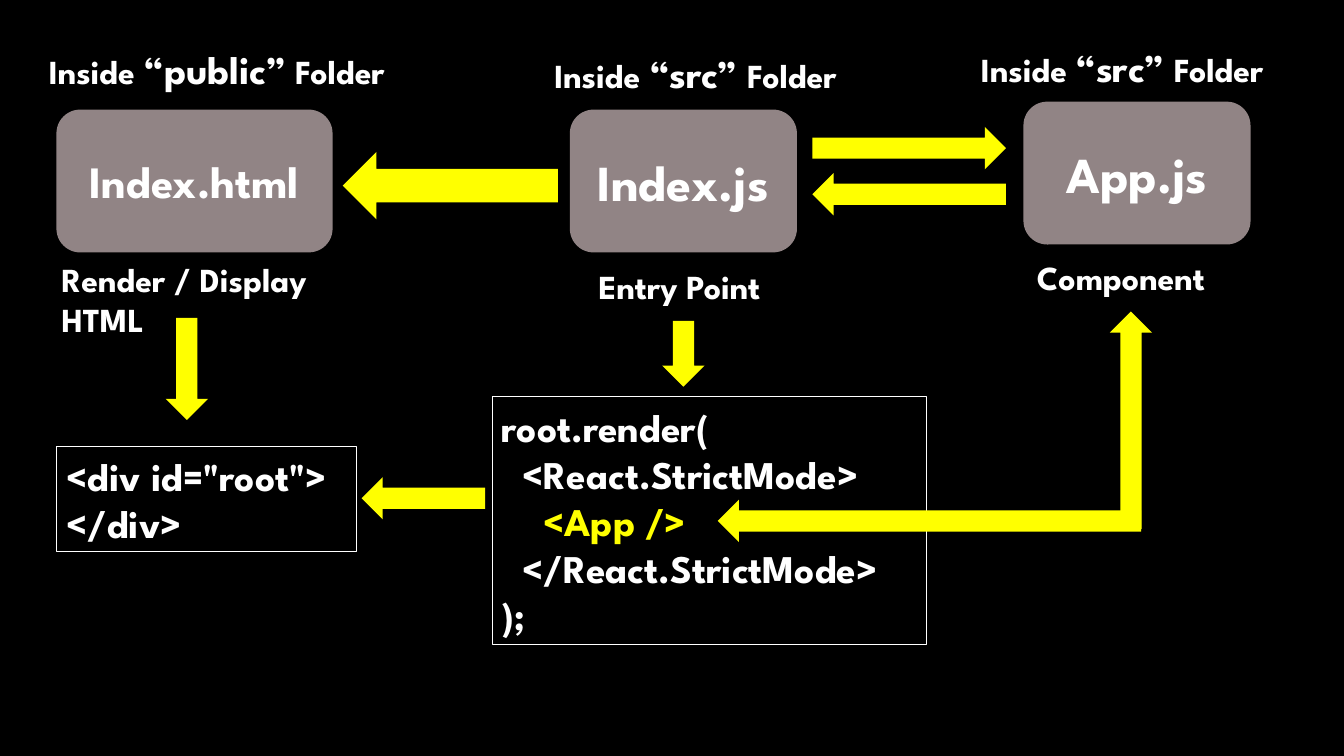
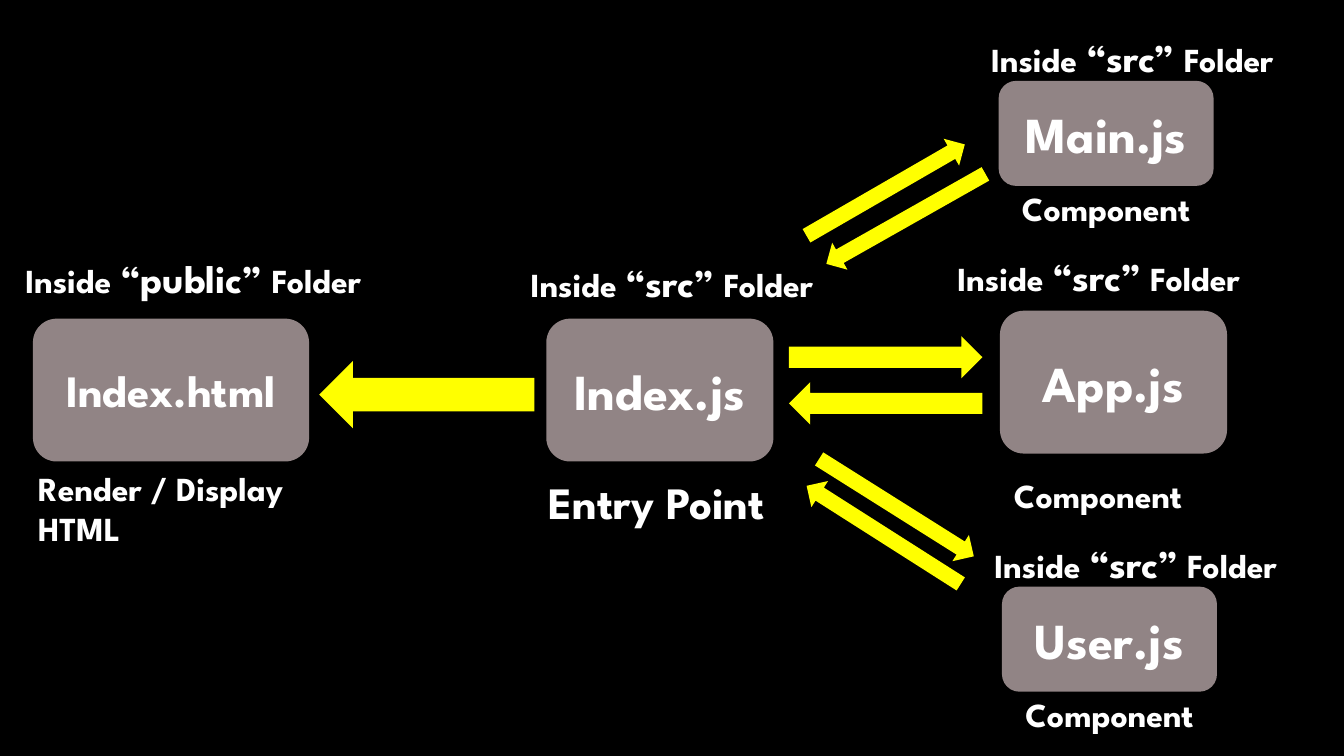
from pptx import Presentation, util as u
from pptx.dml.color import RGBColor
from pptx.enum import shapes, text

COLORS = {"back": "000000", "text": "FFFFFF", "node": "918485", "accent": "FFFF00"}
FONT = "League Spartan"
WIDTH, HEIGHT = u.Inches(13.33), u.Inches(7.5)
SMALL, MEDIUM, LARGE, HUGE = 24, 28, 32, 36
LABEL_ROWS, CAPTION_ROWS, NODE_ROWS = 7.6, 6.7, 18.9
FILE_COLS, PAGE_COLS = 16.9, 20.55
SIDE_COLS, SIDE_ROWS = 16, 13.9
ARROW_ROWS, SLIM_ROWS = 5.6, 4.1


def color(name):
    return RGBColor.from_string(COLORS[name])


def cells(left, top, cols, rows):
    """Turn cells of a grid of 100 columns by 100 rows into lengths."""
    return [round(count * length / 100) for count, length in
            zip((left, top, cols, rows), (WIDTH, HEIGHT, WIDTH, HEIGHT))]


def add_page(deck):
    page = deck.slides.add_slide(deck.slide_layouts[6])
    page.background.fill.solid()
    page.background.fill.fore_color.rgb = color("back")
    return page


def style(span, size, name="text"):
    span.font.name = FONT
    span.font.size = u.Pt(size)
    span.font.bold = True
    span.font.color.rgb = color(name)


def add_text(page, area, words, size=SMALL, align=text.PP_ALIGN.LEFT):
    box = page.shapes.add_textbox(*cells(*area))
    frame = box.text_frame
    frame.word_wrap = True
    frame.vertical_anchor = text.MSO_ANCHOR.MIDDLE
    frame.text = words
    for para in frame.paragraphs:
        para.alignment = align
        for span in para.runs:
            style(span, size)
    return box


def add_label(page, left, top, cols, folder, align=text.PP_ALIGN.LEFT):
    """Name a folder, larger than the words around it."""
    box = add_text(page, (left, top, cols, LABEL_ROWS), "Inside ", align=align)
    para = box.text_frame.paragraphs[0]
    for words, size in ((f"“{folder}”", MEDIUM), (" Folder", SMALL)):
        span = para.add_run()
        span.text = words
        style(span, size)


def add_solid(page, kind, area, fill):
    shape = page.shapes.add_shape(kind, *cells(*area))
    shape.shadow.inherit = False
    shape.fill.solid()
    shape.fill.fore_color.rgb = color(fill)
    shape.line.fill.background()
    return shape


def add_node(page, area, words, size=HUGE):
    node = add_solid(page, shapes.MSO_SHAPE.ROUNDED_RECTANGLE, area, "node")
    frame = node.text_frame
    frame.word_wrap = True
    frame.vertical_anchor = text.MSO_ANCHOR.MIDDLE
    frame.text = words
    para = frame.paragraphs[0]
    para.alignment = text.PP_ALIGN.CENTER
    style(para.runs[0], size)


def add_arrow(page, area, turn=0):
    arrow = add_solid(page, shapes.MSO_SHAPE.RIGHT_ARROW, area, "accent")
    arrow.rotation = turn


def add_code(page, area, lines, accent_line=None):
    box = add_text(page, area, "\n".join(lines), MEDIUM)
    box.line.color.rgb = color("text")
    box.line.width = u.Pt(0.5)
    if accent_line is not None:
        style(box.text_frame.paragraphs[accent_line].runs[0], MEDIUM, "accent")


def add_file_row(page, left, top):
    """Draw the chain of three files, with its corner at left, top."""
    for x, y, cols, folder in ((0, 0.25, 29.5, "public"), (37.6, 0.85, 24.7, "src"),
                               (69.35, 0, 24.7, "src")):
        add_label(page, left + x, top + y, cols, folder)
    for x, y, cols, words, size in ((1.3, 9.45, PAGE_COLS, "Index.html", LARGE),
                                    (39.5, 9.45, FILE_COLS, "Index.js", HUGE),
                                    (73.25, 8.4, FILE_COLS, "App.js", HUGE)):
        add_node(page, (left + x, top + y, cols, NODE_ROWS), words, size)
    add_text(page, (left + 0.95, top + 28.45, 21.7, 12.1), "Render / Display\nHTML")
    add_arrow(page, (left + 22.6, top + 15.05, 16, 8.9), 180)
    for y, turn in ((11.75, 0), (17.85, 180)):
        add_arrow(page, (left + 57.55, top + y, 14.4, ARROW_ROWS), turn)


def add_side_file(page, left, top, words):
    """Draw a component with its folder above and its role below."""
    center = text.PP_ALIGN.CENTER
    add_label(page, left - 3.95, top - 6.95, 27.8, "src", center)
    add_node(page, (left, top, SIDE_COLS, SIDE_ROWS), words)
    add_text(page, (left - 0.4, top + 13.45, 16.8, CAPTION_ROWS), "Component",
             align=center)


def build_render_page(deck):
    page = add_page(deck)
    add_file_row(page, 2.9, 5.05)
    add_text(page, (43.8, 34.5, 16, CAPTION_ROWS), "Entry Point")
    add_text(page, (76.4, 33.3, 16.1, CAPTION_ROWS), "Component")
    add_code(page, (4.2, 59.1, 22.3, 13.9), ['<div id="root">', "</div>"])
    add_code(page, (36.6, 52.5, 32.3, 32.8),
             ["root.render(", "  <React.StrictMode>", "    <App />",
              "  </React.StrictMode>", ");"], accent_line=2)
    for left, top, cols, turn in ((10.1, 46, 7.6, 90), (48.4, 44, 4.9, 90),
                                  (26.9, 63.1, 9.2, 180), (53.4, 66.1, 31.5, 180),
                                  (76.05, 52.8, 16.2, 270)):
        add_arrow(page, (left, top, cols, ARROW_ROWS), turn)


def build_components_page(deck):
    page = add_page(deck)
    add_file_row(page, 1.15, 32.7)
    add_text(page, (40.1, 62.1, 20, 8.5), "Entry Point", LARGE)
    add_text(page, (74.7, 62.1, 16.1, CAPTION_ROWS), "Component")
    add_side_file(page, 74.3, 10.7, "Main.js")
    add_side_file(page, 74.55, 77.6, "User.js")
    for left, top, turn in ((59.1, 23.1, 330), (60.6, 26.9, 150.5),
                            (59.9, 65.1, 32.2), (58.95, 68.7, 212.5)):
        add_arrow(page, (left, top, 13.6, SLIM_ROWS), turn)


def main():
    deck = Presentation()
    deck.slide_width, deck.slide_height = WIDTH, HEIGHT
    build_render_page(deck)
    build_components_page(deck)
    deck.save("out.pptx")


if __name__ == "__main__":
    main()
